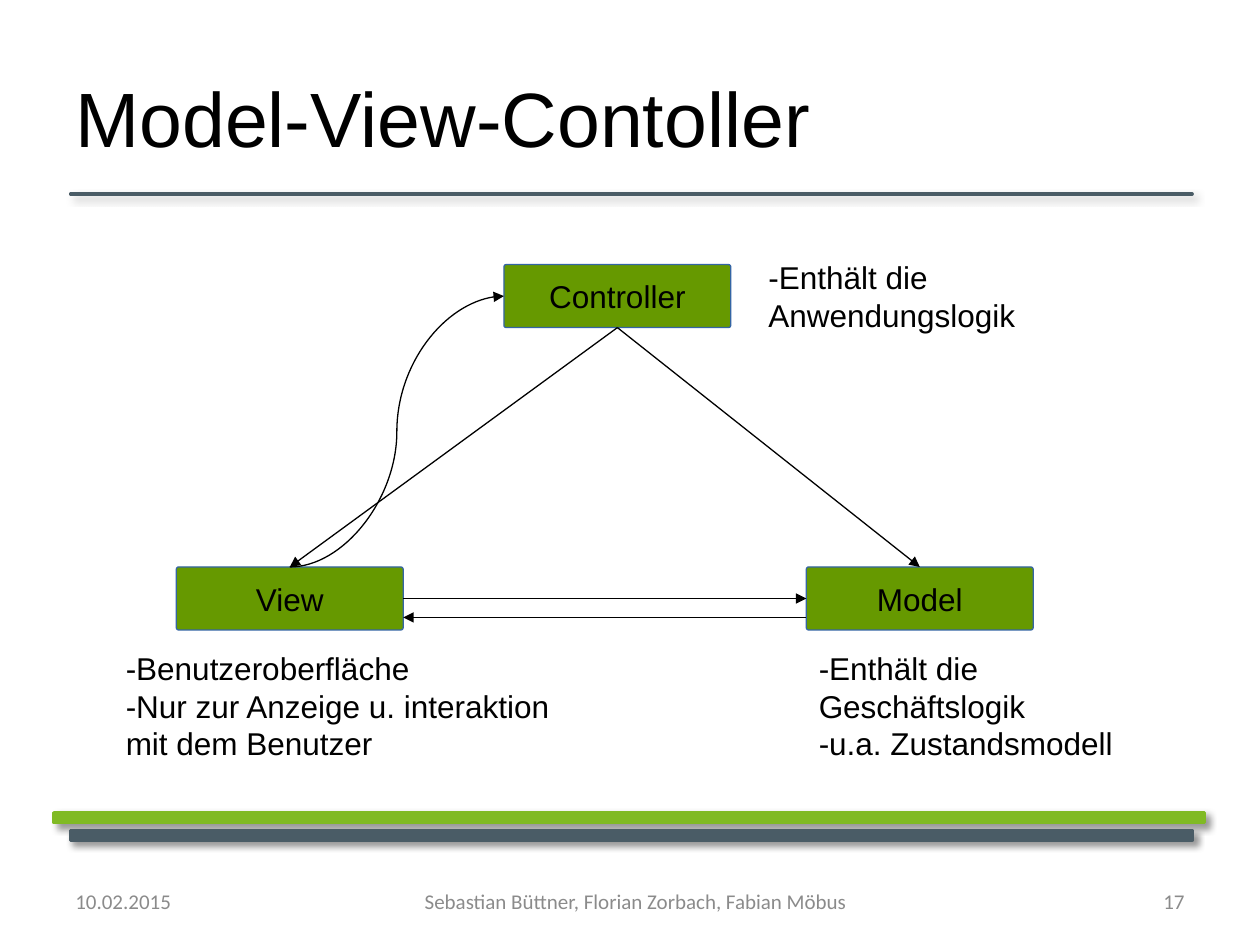
from dataclasses import dataclass

from lxml.etree import SubElement
from pptx import Presentation
from pptx.dml.color import RGBColor
from pptx.enum.shapes import MSO_CONNECTOR as Connector, MSO_SHAPE as Shape
from pptx.enum.text import MSO_ANCHOR as Anchor, PP_ALIGN as Align
from pptx.oxml.ns import qn
from pptx.util import Inches, Pt


@dataclass(frozen=True)
class Theme:
    green: str = "80BA24"
    slate: str = "4A5C66"
    box: str = "669900"
    box_line: str = "3465A4"
    black: str = "000000"
    gray: str = "8B8B8B"
    font: str = "Arial"
    footer_font: str = "Calibri"
    title_size: int = 44
    body_size: int = 18
    footer_size: int = 12
    thin: float = 0.75
    thick: float = 2


class Builder:
    def __init__(self, slide, theme):
        self.slide = slide
        self.theme = theme

    def add_lines(self, shape, lines, size, color, font, align, anchor):
        frame = shape.text_frame
        frame.vertical_anchor = anchor
        for index, line in enumerate(lines):
            paragraph = frame.add_paragraph() if index else frame.paragraphs[0]
            paragraph.alignment = align
            run = paragraph.add_run()
            run.text = line
            run.font.size = Pt(size)
            run.font.name = font
            run.font.color.rgb = RGBColor.from_string(color)

    def shape(self, kind, bounds, fill, line, width):
        shape = self.slide.shapes.add_shape(kind, *map(Inches, bounds))
        shape.shadow.inherit = False
        shape.fill.solid()
        shape.fill.fore_color.rgb = RGBColor.from_string(fill)
        shape.line.color.rgb = RGBColor.from_string(line)
        shape.line.width = Pt(width)
        return shape

    def bar(self, bounds, color):
        shape = self.shape(Shape.RECTANGLE, bounds, color, color, self.theme.thick)
        effects = shape._element.spPr.find(qn("a:effectLst"))
        shadow = SubElement(effects, qn("a:outerShdw"), blurRad=str(Pt(4)),
                            dist=str(Pt(3)), dir=str(45 * 60000), rotWithShape="0")
        color_node = SubElement(shadow, qn("a:srgbClr"), val=self.theme.black)
        SubElement(color_node, qn("a:alpha"), val="40000")

    def box(self, bounds, label):
        theme = self.theme
        shape = self.shape(Shape.ROUNDED_RECTANGLE, bounds, theme.box, theme.box_line, theme.thin)
        shape.adjustments[0] = 0.036
        shape.text_frame.word_wrap = False
        self.add_lines(shape, [label], theme.body_size, theme.black, theme.font,
                       Align.CENTER, Anchor.MIDDLE)

    def text(self, bounds, lines, size=None, color=None, font=None,
             align=Align.LEFT, anchor=Anchor.TOP):
        theme = self.theme
        shape = self.slide.shapes.add_textbox(*map(Inches, bounds))
        shape.text_frame.word_wrap = True
        self.add_lines(shape, lines, size or theme.body_size, color or theme.black,
                       font or theme.font, align, anchor)

    def arrow(self, start, end, kind=Connector.STRAIGHT):
        connector = self.slide.shapes.add_connector(kind, *map(Inches, (*start, *end)))
        connector.line.color.rgb = RGBColor.from_string(self.theme.black)
        connector.line.width = Pt(self.theme.thin)
        properties = connector._element.spPr
        SubElement(properties.find(qn("a:ln")), qn("a:tailEnd"), type="triangle")
        SubElement(properties, qn("a:effectLst"))


presentation = Presentation()
presentation.slide_width = Inches(10)
presentation.slide_height = Inches(7.5)
theme = Theme()
builder = Builder(presentation.slides.add_slide(presentation.slide_layouts[6]), theme)

builder.bar((0.43, 6.45, 9.13, 0.08), theme.green)
builder.bar((0.56, 6.59, 8.9, 0.08), theme.slate)
builder.bar((0.56, 1.54, 8.9, 0), theme.slate)

builder.text((0.5, 0.3, 9, 1.25), ["Model-View-Contoller"], theme.title_size,
             anchor=Anchor.MIDDLE)
for left, width, label, align in (
    (0.5, 2.33, "10.02.2015", Align.LEFT),
    (3.27, 3.55, "Sebastian Büttner, Florian Zorbach, Fabian Möbus", Align.CENTER),
    (7.17, 2.33, "17", Align.RIGHT),
):
    builder.text((left, 6.95, width, 0.4), [label], theme.footer_size, theme.gray,
                 theme.footer_font, align, Anchor.MIDDLE)

box_width, box_height = 1.8, 0.5
controller, view, model = (4, 2.1), (1.4, 4.5), (6.4, 4.5)
for corner, label in ((controller, "Controller"), (view, "View"), (model, "Model")):
    builder.box((*corner, box_width, box_height), label)

controller_bottom = (controller[0] + box_width / 2, controller[1] + box_height)
controller_left = (controller[0], controller[1] + box_height / 2)
view_top, model_top = ((left + box_width / 2, top) for left, top in (view, model))
view_right, model_left = view[0] + box_width, model[0]
request_y, reply_y = view[1] + box_height / 2, view[1] + 0.4

builder.arrow(controller_bottom, model_top)
builder.arrow(controller_bottom, view_top)
builder.arrow((view_right, request_y), (model_left, request_y))
builder.arrow((model_left, reply_y), (view_right, reply_y))
builder.arrow(view_top, controller_left, Connector.CURVE)

builder.text((6, 2, 3.1, 1.1), ["-Enthält die Anwendungslogik"])
builder.text((0.9, 5.1, 3.7, 1.26),
             ["-Benutzeroberfläche", "-Nur zur Anzeige u. interaktion mit dem Benutzer"])
builder.text((6.4, 5.1, 3.1, 1.1),
             ["-Enthält die Geschäftslogik", "-u.a. Zustandsmodell"])

presentation.save("out.pptx")
